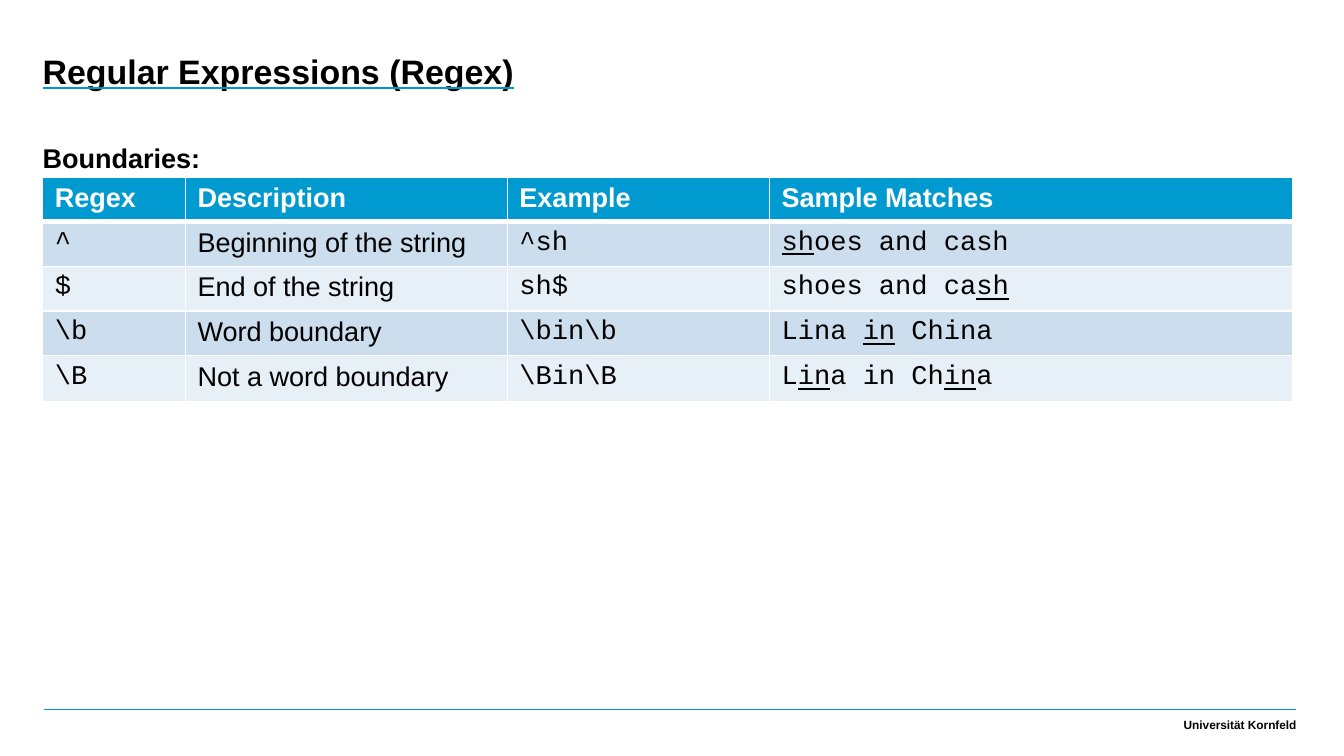
from lxml import etree
from pptx import Presentation
from pptx.dml.color import RGBColor
from pptx.enum import shapes, text
from pptx.oxml import ns
from pptx.util import Inches, Pt

BLACK = RGBColor(0x00, 0x00, 0x00)
WHITE = RGBColor(0xFF, 0xFF, 0xFF)
RULE_BLUE = RGBColor(0x00, 0x96, 0xCC)
HEADER_BLUE = RGBColor(0x00, 0x9A, 0xD1)
BANDS = [RGBColor(0xCC, 0xDE, 0xEE), RGBColor(0xE7, 0xEF, 0xF7)]
SANS, MONO = "Arial", "Courier New"


def add_run(paragraph, words, size, font=SANS, color=BLACK, bold=False, underline=False):
    run = paragraph.add_run()
    run.text = words
    run.font.size = Pt(size)
    run.font.bold = bold
    run.font.underline = underline
    run.font.color.rgb = color
    run.font.name = font
    return run


def add_label(left, top, width, height, words, size, spacing):
    frame = slide.shapes.add_textbox(
        Inches(left), Inches(top), Inches(width), Inches(height)).text_frame
    frame.word_wrap = True
    frame.margin_left = frame.margin_right = frame.margin_top = frame.margin_bottom = 0
    frame.paragraphs[0].line_spacing = spacing
    return frame, add_run(frame.paragraphs[0], words, size, bold=True)


presentation = Presentation()
presentation.slide_width = Inches(11.02)
presentation.slide_height = Inches(6.2)
slide = presentation.slides.add_slide(presentation.slide_layouts[6])

footer_rule = slide.shapes.add_connector(
    shapes.MSO_CONNECTOR.STRAIGHT, Inches(0.36), Inches(5.82), Inches(10.63), Inches(5.82))
footer_rule.line.color.rgb = RULE_BLUE
footer_rule.line.width = Pt(1)
etree.SubElement(footer_rule._element.spPr, ns.qn("a:effectLst"))

footer, _ = add_label(8.03, 5.82, 2.6, 0.24, "Universität Kornfeld", 7, 1.0)
footer.margin_bottom = Inches(0.06)
footer.vertical_anchor = text.MSO_ANCHOR.BOTTOM
footer.paragraphs[0].alignment = text.PP_ALIGN.RIGHT

_, title_run = add_label(0.35, 0.44, 6.93, 0.87, "Regular Expressions (Regex)", 20, 0.95)
title_run.font.underline = True
underline_fill = etree.Element(ns.qn("a:uFill"))
solid = etree.SubElement(underline_fill, ns.qn("a:solidFill"))
etree.SubElement(solid, ns.qn("a:srgbClr"), val=str(RULE_BLUE))
title_run.font._element.find(ns.qn("a:latin")).addprevious(underline_fill)

header = ["Regex", "Description", "Example", "Sample Matches"]
boundaries = [
    ["^", "Beginning of the string", "^sh", ["", "sh", "oes and cash"]],
    ["$", "End of the string", "sh$", ["shoes and ca", "sh"]],
    ["\\b", "Word boundary", "\\bin\\b", ["Lina ", "in", " China"]],
    ["\\B", "Not a word boundary", "\\Bin\\B", ["L", "in", "a in Ch", "in", "a"]],
]
column_widths = [1.17, 2.64, 2.15, 4.29]
row_heights = [0.34, 0.33, 0.35, 0.35, 0.38]

table = slide.shapes.add_table(
    len(row_heights), len(column_widths),
    Inches(0.35), Inches(1.45), Inches(10.25), Inches(1.75)).table
for column, width in zip(table.columns, column_widths):
    column.width = Inches(width)
for row, height in zip(table.rows, row_heights):
    row.height = Inches(height)

for row_index, entries in enumerate([header] + boundaries):
    is_header = row_index == 0
    for column_index, entry in enumerate(entries):
        cell = table.cell(row_index, column_index)
        paragraph = cell.text_frame.paragraphs[0]
        font = SANS if is_header or column_index == 1 else MONO
        color = WHITE if is_header else BLACK
        pieces = entry if isinstance(entry, list) else [entry]
        for piece_index, piece in enumerate(pieces):
            if piece:
                add_run(paragraph, piece, 16, font, color, is_header, piece_index % 2 == 1)

        properties = cell._tc.get_or_add_tcPr()
        for side in "LRTB":
            thick = (is_header and side == "B") or (row_index == 1 and side == "T")
            border = etree.SubElement(
                properties, ns.qn(f"a:ln{side}"), w=str(Pt(3 if thick else 1)))
            border_fill = etree.SubElement(border, ns.qn("a:solidFill"))
            etree.SubElement(border_fill, ns.qn("a:srgbClr"), val=str(WHITE))
        cell.fill.solid()
        cell.fill.fore_color.rgb = HEADER_BLUE if is_header else BANDS[(row_index - 1) % 2]

add_label(0.35, 1.13, 9.29, 4.09, "Boundaries:", 16, 1.1)

presentation.save("out.pptx")
